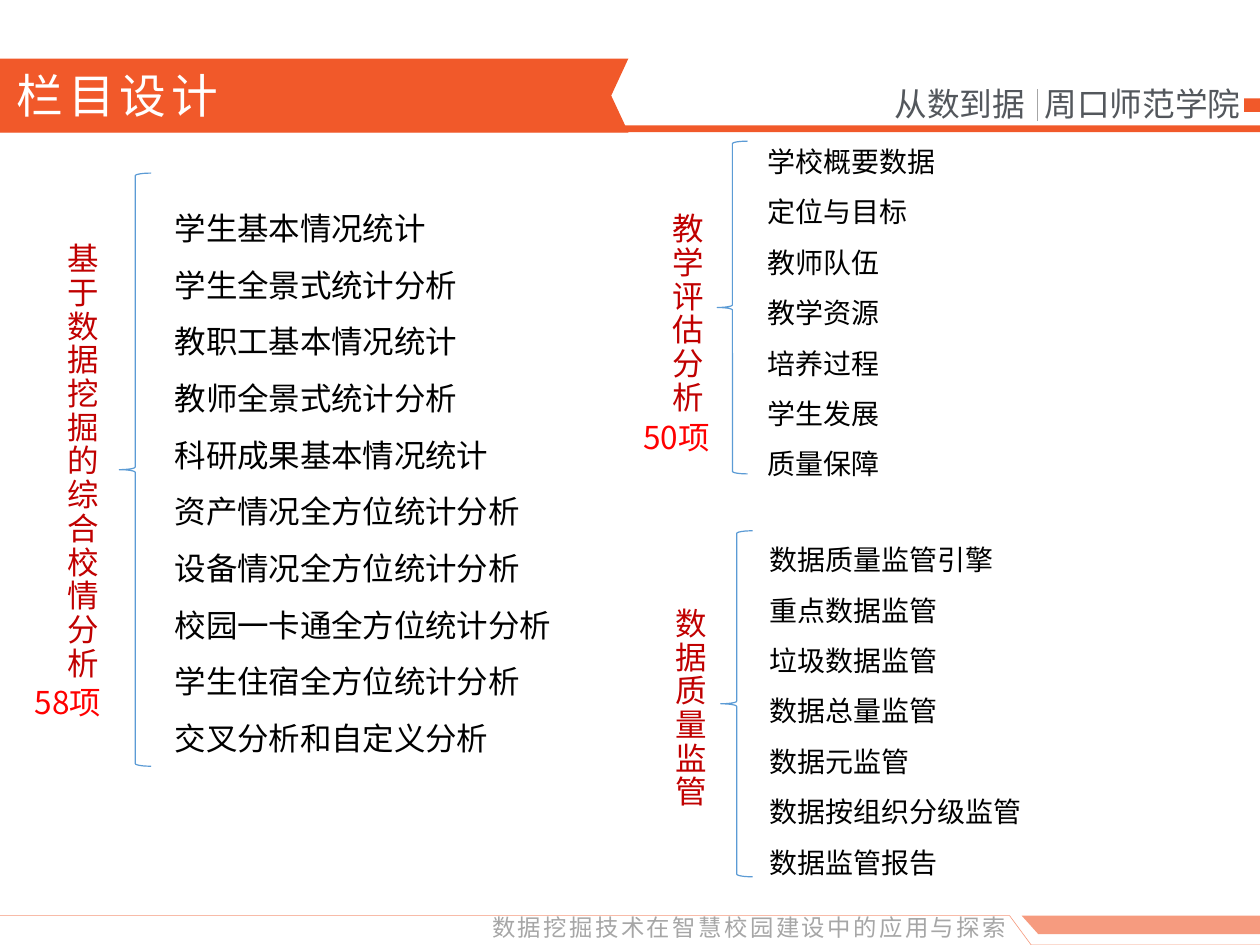
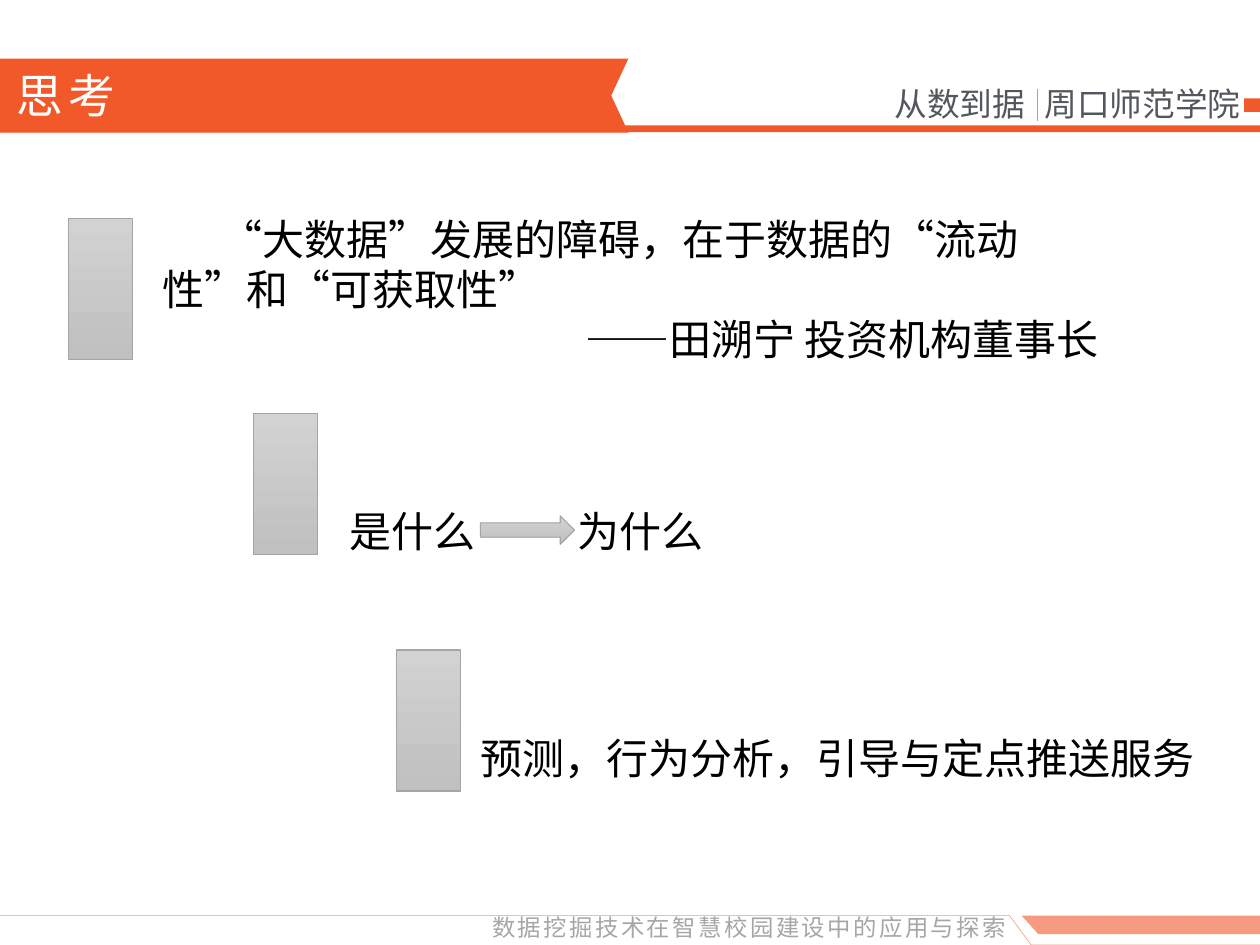
from dataclasses import dataclass

from lxml.etree import SubElement
from pptx import Presentation
from pptx.dml.color import RGBColor
from pptx.enum.shapes import MSO_CONNECTOR, MSO_SHAPE
from pptx.enum.text import MSO_ANCHOR, MSO_AUTO_SIZE, PP_ALIGN
from pptx.oxml.ns import qn
from pptx.util import Pt

ORANGE = RGBColor(0xF1, 0x59, 0x2A)
WHITE = RGBColor(0xFF, 0xFF, 0xFF)
BLACK = RGBColor(0x00, 0x00, 0x00)
SLATE = RGBColor(0x53, 0x57, 0x5C)
GREY = RGBColor(0xA6, 0xA6, 0xA6)
BAR_TOP = RGBColor(0xD2, 0xD2, 0xD2)
BAR_BOTTOM = RGBColor(0xC0, 0xC0, 0xC0)
BAR_EDGE = RGBColor(0xA5, 0xA5, 0xA5)
BLUE = RGBColor(0x5B, 0x9B, 0xD5)
DARK_RED = RGBColor(0xC0, 0x00, 0x00)
RED = RGBColor(0xFF, 0x00, 0x00)

HEADING_FONT = "Noto Sans CJK JP"
BODY_FONT = "Noto Sans CJK SC"
FOOTER_FONT = "Calibri"
PAGE_WIDTH, PAGE_HEIGHT = 540, 405
LINE_HEIGHT = 1.2


@dataclass
class Box:
    left: float
    top: float
    width: float
    height: float

    def inner(self, left, top, width, height):
        return Box(self.left + left, self.top + top, width, height)

    def lengths(self):
        return Pt(self.left), Pt(self.top), Pt(self.width), Pt(self.height)


def write_text(frame, lines, size=18, color=BLACK, font=BODY_FONT, spacing=0,
               leading=1, aligns=(PP_ALIGN.LEFT,), indent=0):
    frame.vertical_anchor = MSO_ANCHOR.TOP
    for index, line in enumerate(lines):
        para = frame.paragraphs[0] if index == 0 else frame.add_paragraph()
        properties = para._p.get_or_add_pPr()
        properties.set("marL", "0")
        properties.set("indent", str(Pt(indent if index == 0 else 0)))
        SubElement(properties, qn("a:buNone"))
        para.alignment = aligns[min(index, len(aligns) - 1)]
        para.line_spacing = Pt(size * LINE_HEIGHT * leading)
        para.space_before = para.space_after = Pt(0)
        span = para.add_run()
        span.text = line
        span.font.size = Pt(size)
        span.font.bold = False
        span.font.color.rgb = color
        span.font.name = font
        run_properties = span._r.get_or_add_rPr()
        run_properties.set("lang", "zh-CN")
        run_properties.set("spc", str(int(spacing * 100)))
        SubElement(run_properties, qn("a:ea"), typeface=font)


def add_text(page, box, *lines, wrap=True, vertical=False, **text_format):
    shape = page.shapes.add_textbox(*box.lengths())
    frame = shape.text_frame
    frame.word_wrap = wrap
    frame.auto_size = MSO_AUTO_SIZE.SHAPE_TO_FIT_TEXT
    if vertical:
        frame._txBody.bodyPr.set("vert", "eaVert")
    write_text(frame, lines, **text_format)
    return shape


def fill_placeholder(placeholder, box, *lines, **text_format):
    placeholder.left, placeholder.top, placeholder.width, placeholder.height = box.lengths()
    placeholder.text_frame.auto_size = MSO_AUTO_SIZE.NONE
    placeholder.text_frame.word_wrap = True
    write_text(placeholder.text_frame, lines, **text_format)


def set_alpha(shape, percent):
    for color in shape._element.spPr.iter(qn("a:srgbClr")):
        SubElement(color, qn("a:alpha"), val=str(percent * 1000))


def paint(shape, fill=None, line=None, width=0.5):
    shape.shadow.inherit = False
    if fill is None:
        shape.fill.background()
    else:
        shape.fill.solid()
        shape.fill.fore_color.rgb = fill
    if line is None:
        shape.line.fill.background()
    else:
        shape.line.color.rgb = line
        shape.line.width = Pt(width)
    return shape


def add_preset(page, preset, box, **style):
    return paint(page.shapes.add_shape(preset, *box.lengths()), **style)


def add_outline(page, box, points, close=True, **style):
    start, *rest = [(Pt(box.left + x), Pt(box.top + y)) for x, y in points]
    builder = page.shapes.build_freeform(*start, scale=1.0)
    builder.add_line_segments(rest, close=close)
    return paint(builder.convert_to_shape(), **style)


def add_grey_gradient(page, preset, box):
    shape = add_preset(page, preset, box, fill=BAR_TOP, line=BAR_EDGE)
    shape.fill.gradient()
    shape.fill.gradient_angle = 270
    for stop, color in zip(shape.fill.gradient_stops, (BAR_TOP, BAR_BOTTOM)):
        stop.color.rgb = color


def draw_header(page, box):
    flag = [(0, 0), (269.3, 0), (262, 15.8), (269.3, 31.5), (269.3, 31.7), (0, 31.7)]
    shapes = [
        add_outline(page, box, flag, fill=ORANGE),
        add_preset(page, MSO_SHAPE.RECTANGLE, box.inner(0, 28.6, box.width, 2.9), fill=ORANGE),
        add_preset(page, MSO_SHAPE.RECTANGLE, box.inner(533.2, 17, 6.8, 5.8), fill=ORANGE),
    ]
    divider = page.shapes.add_connector(
        MSO_CONNECTOR.STRAIGHT, Pt(444.7), Pt(box.top + 13), Pt(444.7), Pt(box.top + 26.6))
    divider.line.color.rgb = GREY
    divider.line.width = Pt(0.25)
    SubElement(divider._element.spPr, qn("a:effectLst"))
    shapes.append(divider)
    for left, width, text in ((375.8, 71.3, "从数到据"), (440, 99.4, "周口师范学院")):
        shapes.append(add_text(page, box.inner(left, 7.2, width, 24.2), text, wrap=False,
                               size=14, color=SLATE, font=HEADING_FONT,
                               aligns=(PP_ALIGN.CENTER,)))
    return shapes


def draw_footer(page, box):
    rule = add_outline(page, box, [(0, 0), (432.7, 0), (442, 12.6), (box.width, 12.6)],
                       close=False, line=ORANGE, width=0.25)
    set_alpha(rule, 61)
    wedge = add_outline(page, box, [(437.8, 0), (445, 8), (box.width, 8), (box.width, 0)],
                        fill=ORANGE)
    set_alpha(wedge, 60)
    caption = add_text(page, box.inner(203.8, -4.3, 251.3, 19.4),
                       "数据挖掘技术在智慧校园建设中的应用与探索",
                       size=10, color=GREY, font=FOOTER_FONT, spacing=1.1)
    return [rule, wedge, caption]


def move_to_master(deck, shapes):
    tree = deck.slide_master.shapes._spTree
    for number, shape in enumerate(shapes, start=100):
        shape._element.xpath(".//p:cNvPr")[0].set("id", str(number))
        tree.append(shape._element)


def set_title(page, text):
    fill_placeholder(page.shapes.title, Box(0, 25.2, 260.6, 31.7), text,
                     size=20, color=WHITE, font=HEADING_FONT, spacing=2)


def draw_topic(page, body, box, label, items, size, label_area, list_area, brace_left,
               brace_width):
    add_text(page, box.inner(*label_area), label, wrap=False, vertical=True, size=13.5,
             color=DARK_RED, font=HEADING_FONT, spacing=1)
    fill_placeholder(body, box.inner(*list_area), *items, size=size, leading=1.5)
    add_preset(page, MSO_SHAPE.LEFT_BRACE,
               box.inner(brace_left, 0, brace_width, box.height), line=BLUE)


def build_columns(page):
    set_title(page, "栏目设计")
    bodies = [holder for holder in page.placeholders if holder.placeholder_format.idx in (1, 2, 3)]
    draw_topic(
        page, bodies[0], Box(15.8, 74.2, 234, 254.2), "基于数据挖掘的综合校情分析",
        ["学生基本情况统计", "学生全景式统计分析", "教职工基本情况统计", "教师全景式统计分析",
         "科研成果基本情况统计", "资产情况全方位统计分析", "设备情况全方位统计分析",
         "校园一卡通全方位统计分析", "学生住宿全方位统计分析", "交叉分析和自定义分析"],
        13.5, (0, 23, 31, 197.3), (51.9, 3.6, 182.2, 252.7), 35.3, 13.7)
    draw_topic(
        page, bodies[1], Box(276.5, 60.5, 242, 142.6), "教学评估分析",
        ["学校概要数据", "定位与目标", "教师队伍", "教学资源", "培养过程", "学生发展", "质量保障"],
        12, (0, 23.7, 29.5, 90), (45.3, -9.4, 196.6, 159.8), 30.9, 13)
    draw_topic(
        page, bodies[2], Box(276.5, 227.5, 212, 148.3), "数据质量监管",
        ["数据质量监管引擎", "重点数据监管", "垃圾数据监管", "数据总量监管", "数据元监管",
         "数据按组织分级监管", "数据监管报告"],
        12, (0, 25.9, 31, 92.2), (46.1, -5.7, 166.3, 159.8), 32.4, 13.7)
    for box, text in ((Box(7.9, 289.4, 49, 23.8), "58项"), (Box(268.6, 175.7, 148.3, 23.8), "50项")):
        add_text(page, box, text, size=13.5, color=RED)


def draw_bar(page, box):
    add_grey_gradient(page, MSO_SHAPE.RECTANGLE, box.inner(0, 0, 27.4, 60.5))


def build_thoughts(page):
    set_title(page, "思考")
    quote = Box(29.5, 93.6, 449, 72.7)
    question = Box(108.7, 177.1, 201, 64.8)
    service = Box(169.9, 278.6, 359, 60.5)
    for box in (quote, question, service):
        draw_bar(page, box)
    add_text(page, quote.inner(33.1, -5.8, 415.4, 72.7),
             "“大数据”发展的障碍，在于数据的“流动性”和“可获取性”",
             "——田溯宁 投资机构董事长",
             aligns=(PP_ALIGN.LEFT, PP_ALIGN.RIGHT), indent=25)
    for left, text in ((33.9, "是什么"), (131.8, "为什么")):
        add_text(page, question.inner(left, 36, 69.1, 28.8), text, wrap=False)
    add_grey_gradient(page, MSO_SHAPE.RIGHT_ARROW, question.inner(97.2, 44, 40.3, 12.2))
    add_text(page, service.inner(28.8, 31.7, 329.8, 28.8), "预测，行为分析，引导与定点推送服务")


def main():
    deck = Presentation()
    deck.slide_width, deck.slide_height = Pt(PAGE_WIDTH), Pt(PAGE_HEIGHT)
    columns = deck.slides.add_slide(deck.slide_layouts.get_by_name("Comparison"))
    thoughts = deck.slides.add_slide(deck.slide_layouts.get_by_name("Title Only"))
    shared = draw_header(columns, Box(0, 25.2, PAGE_WIDTH, 31.7))
    shared += draw_footer(columns, Box(0, 392.4, PAGE_WIDTH, 12.6))
    move_to_master(deck, shared)
    build_columns(columns)
    build_thoughts(thoughts)
    for holder in list(columns.placeholders):
        if not holder.text_frame.text:
            holder._element.getparent().remove(holder._element)
    deck.save("out.pptx")


if __name__ == "__main__":
    main()
